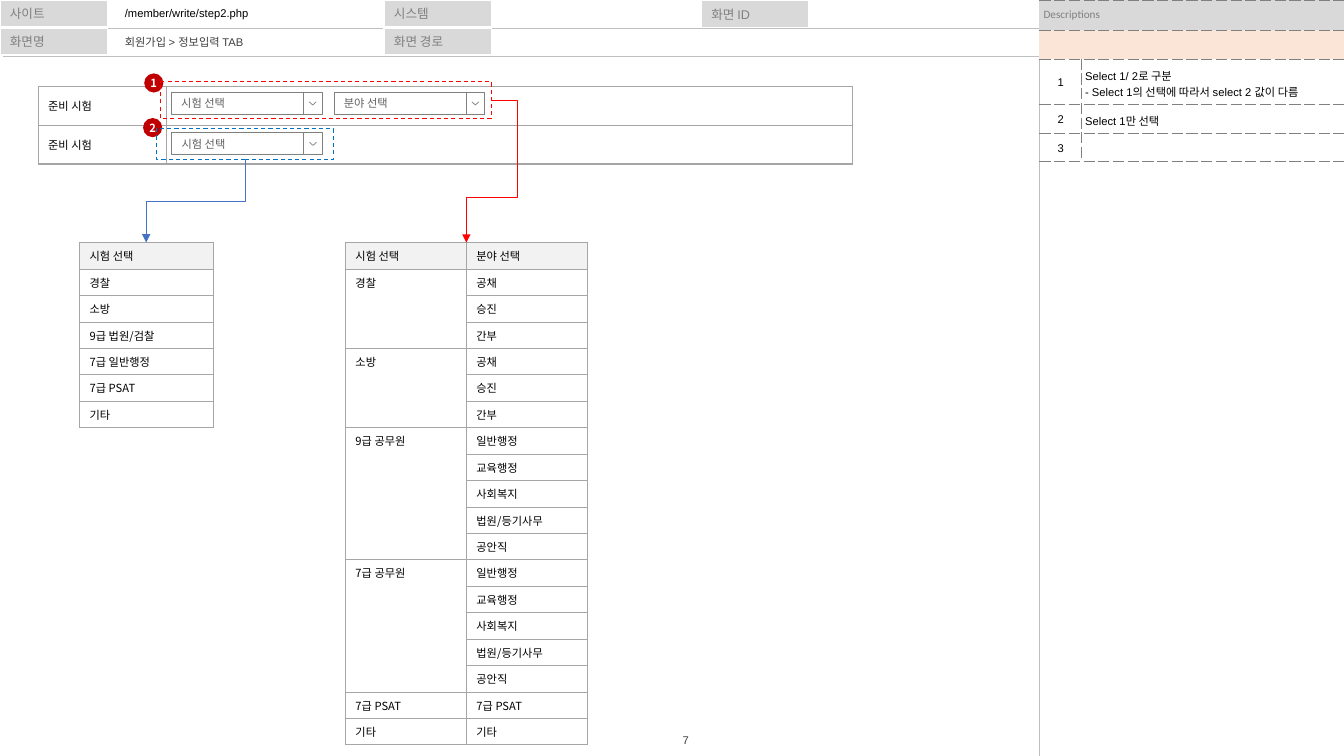
from dataclasses import dataclass

from lxml import etree
from pptx import Presentation
from pptx.dml.color import RGBColor
from pptx.enum import dml, shapes, text
from pptx.oxml.ns import qn
from pptx.util import Pt

GREY, BORDER, KOREAN = "808080", "A6A6A6", "Noto Sans CJK KR"
NO_STYLE = "{2D5ABB26-0587-4C30-8999-92F81FD0307C}"
MIDDLE, TOP = text.MSO_ANCHOR.MIDDLE, text.MSO_ANCHOR.TOP
LEFT, CENTER = text.PP_ALIGN.LEFT, text.PP_ALIGN.CENTER
DEFAULT_INSETS = (7.2, 3.6, 7.2, 3.6)


@dataclass
class Style:
    font: str = KOREAN
    color: str = "000000"
    size: float = 8
    bold: bool = False
    align: text.PP_ALIGN = LEFT
    anchor: text.MSO_ANCHOR = MIDDLE
    insets: tuple[float, ...] = DEFAULT_INSETS


@dataclass
class Area:
    left: float
    top: float
    width: float
    height: float


@dataclass
class Edge:
    color: str
    width: float
    dash: str = "solid"


deck = Presentation()
deck.slide_width, deck.slide_height = Pt(960), Pt(540)
page = deck.slides.add_slide(deck.slide_layouts[6])


def rgb(color: str) -> RGBColor:
    return RGBColor.from_string(color)


def write(frame, content: str, style: Style) -> None:
    for index, line in enumerate(content.split("\n")):
        para = frame.add_paragraph() if index else frame.paragraphs[0]
        para.text = line
        para.alignment = style.align
        para.font.name, para.font.size = style.font, Pt(style.size)
        para.font.bold, para.font.color.rgb = style.bold, rgb(style.color)
        if not line:
            etree.SubElement(para._p, qn("a:endParaRPr"), sz="800")


def set_margins(holder, insets: tuple[float, ...]) -> None:
    sides = ("margin_left", "margin_top", "margin_right", "margin_bottom")
    for side, inset in zip(sides, insets):
        setattr(holder, side, Pt(inset))


def frame_text(box, content: str, style: Style, wrap: bool = True) -> None:
    frame = box.text_frame
    frame.word_wrap, frame.vertical_anchor = wrap, style.anchor
    set_margins(frame, style.insets)
    write(frame, content, style)


def add_text(area: Area, content: str, style: Style, wrap: bool = True) -> None:
    box = page.shapes.add_textbox(Pt(area.left), Pt(area.top), Pt(area.width), Pt(area.height))
    frame_text(box, content, style, wrap)


def paint(box, fill: str | None, line: str | None, width: float, dashed: bool = False) -> None:
    box.shadow.inherit = False
    if fill:
        box.fill.solid()
        box.fill.fore_color.rgb = rgb(fill)
    else:
        box.fill.background()
    if line:
        box.line.color.rgb, box.line.width = rgb(line), Pt(width)
        if dashed:
            box.line.dash_style = dml.MSO_LINE.DASH
    else:
        box.line.fill.background()


def add_box(area: Area, fill: str | None, line: str | None, width: float = 0.5,
            dashed: bool = False, kind=shapes.MSO_SHAPE.RECTANGLE):
    box = page.shapes.add_shape(kind, Pt(area.left), Pt(area.top), Pt(area.width), Pt(area.height))
    paint(box, fill, line, width, dashed)
    return box


def add_line(x1: float, y1: float, x2: float, y2: float, color: str, width: float,
             kind=shapes.MSO_CONNECTOR.STRAIGHT):
    line = page.shapes.add_connector(kind, Pt(x1), Pt(y1), Pt(x2), Pt(y2))
    line.line.color.rgb, line.line.width = rgb(color), Pt(width)
    etree.SubElement(line._element.spPr, qn("a:effectLst"))
    return line


def add_elbow(x1: float, y1: float, x2: float, y2: float, color: str):
    arrow = add_line(x1, y1, x2, y2, color, 0.5, shapes.MSO_CONNECTOR.ELBOW)
    etree.SubElement(arrow.line._get_or_add_ln(), qn("a:tailEnd"), type="triangle")
    return arrow._element.spPr


def add_grid(area: Area, columns: list[float], rows: list[float]):
    holder = page.shapes.add_table(len(rows), len(columns), Pt(area.left), Pt(area.top),
                                   Pt(area.width), Pt(area.height))
    grid = holder.table
    grid.first_row = grid.horz_banding = False
    grid._tbl.tblPr.find(qn("a:tableStyleId")).text = NO_STYLE
    for column, width in zip(grid.columns, columns):
        column.width = Pt(width)
    for row, height in zip(grid.rows, rows):
        row.height = Pt(height)
    return grid


def fill_cell(cell, content: str, style: Style, fill: str | None, edge: Edge, sides: str) -> None:
    cell.vertical_anchor = style.anchor
    set_margins(cell, style.insets)
    write(cell.text_frame, content, style)
    props = cell._tc.get_or_add_tcPr()
    for side in sides:
        border = etree.SubElement(props, qn(f"a:ln{side}"), w=str(Pt(edge.width)))
        solid = etree.SubElement(border, qn("a:solidFill"))
        etree.SubElement(solid, qn("a:srgbClr"), val=edge.color)
        etree.SubElement(border, qn("a:prstDash"), val=edge.dash)
    if fill:
        cell.fill.solid()
        cell.fill.fore_color.rgb = rgb(fill)
    else:
        cell.fill.background()


def add_options(left: float, width: float, records: list[tuple[str, ...]]) -> None:
    count, row_height = len(records[0]), 18.9
    grid = add_grid(Area(left, 173.3, width * count, row_height * len(records)),
                    [width] * count, [row_height] * len(records))
    for r, record in enumerate(records):
        for c, label in enumerate(record):
            fill_cell(grid.cell(r, c), label, Style(anchor=TOP),
                      None if r else "F2F2F2", Edge(BORDER, 0.5), "LRTB")
    starts = [r for r, record in enumerate(records) if record[0]] + [len(records)]
    for start, end in zip(starts, starts[1:]):
        if end - start > 1:
            grid.cell(start, 0).merge(grid.cell(end - 1, 0))


def add_dropdown(left: float, top: float, label: str) -> None:
    box = add_box(Area(left, top, 94.4, 15.8), "FFFFFF", GREY)
    frame_text(box, label, Style("Lato", "5F5F5F", insets=(7.2, 4.3, 7.2, 4.3)))
    add_box(Area(left + 94.4, top, 13.2, 15.8), "FFFFFF", GREY)
    x, y = left + 98.5, top + 6.9
    pen = page.shapes.build_freeform(Pt(x + 5), Pt(y))
    pen.add_line_segments([(Pt(x + 2.5), Pt(y + 2.3)), (Pt(x), Pt(y))], close=False)
    paint(pen.convert_to_shape(), "FFFFFF", GREY, 0.5)


def add_badge(left: float, top: float, number: str) -> None:
    badge = add_box(Area(left, top, 13.7, 13.7), "C00000", None, kind=shapes.MSO_SHAPE.OVAL)
    frame_text(badge, number, Style(color="FFFFFF", bold=True, align=CENTER, insets=(0, 0, 0, 0)))


def add_header() -> None:
    for x1, y1, x2, y2 in [(0, 20.2, 960, 20.2), (2.2, 40.3, 960, 40.3), (742.5, 540, 742.5, 40.3)]:
        add_line(x1, y1, x2, y2, "BFBFBF", 0.75)
    for left, top, label in [(0, 0, "사이트"), (274.3, 20, "화면 경로"), (0, 20, "화면명"),
                             (274.3, 0, "시스템"), (501, 0.4, "화면 ID")]:
        box = add_box(Area(left, top, 77, 19.4), "D9D9D9", "FFFFFF", 1)
        frame_text(box, label, Style("Arial", GREY, 9))
    add_text(Area(82.1, 20.6, 150, 18.7), "회원가입 > 정보입력 TAB", Style("Arial", "404040"))
    add_text(Area(82.1, 1.2, 191.5, 20.9), "/member/write/step2.php", Style("Arial", anchor=TOP))


def add_descriptions() -> None:
    rows = [21.2, 20.9, 32.3, 20.5, 20.2]
    grid = add_grid(Area(742.5, 0, 217.5, sum(rows)), [29.7, 187.8], rows)
    edge = Edge(GREY, 0.25, "sysDash")
    heading = Style("Calibri", GREY, insets=(2.9, 2.9, 0, 2.9))
    number = Style("Arial", align=CENTER, insets=(0.7, 2.9, 0, 0.7))
    note = Style("Arial", anchor=TOP, insets=(2.9, 5.8, 5.8, 2.9))
    for r, (title, fill) in enumerate([("Descriptions", "DAD9DA"), ("", "FBE5D6")]):
        fill_cell(grid.cell(r, 0), title, heading, fill, edge, "TB")
        fill_cell(grid.cell(r, 1), "", heading, fill, edge, "TB")
        grid.cell(r, 0).merge(grid.cell(r, 1))
    notes = ["Select 1/ 2로 구분\n- Select 1의 선택에 따라서 select 2 값이 다름", "Select 1만 선택", ""]
    for index, content in enumerate(notes, 1):
        fill_cell(grid.cell(index + 1, 0), str(index), number, None, edge, "RTB")
        fill_cell(grid.cell(index + 1, 1), content, note, None, edge, "LTB")


def add_form() -> None:
    grid = add_grid(Area(27.2, 61.7, 581.8, 55.4), [91.5, 490.3], [27.7, 27.7])
    for r in range(2):
        for c, label in enumerate(["준비 시험", ""]):
            fill_cell(grid.cell(r, c), label, Style(), None, Edge(BORDER, 1), "LRTB")
    for left, top, label in [(122.4, 65.8, "시험 선택"), (238.6, 65.8, "분야 선택"), (122.6, 94.7, "시험 선택")]:
        add_dropdown(left, top, label)
    add_badge(103, 52.4, "1")
    add_badge(102.2, 84.3, "2")


def add_callouts() -> None:
    add_box(Area(114.6, 58.4, 236.8, 26.1), None, "FF0000", 0.75, True)
    add_box(Area(111.7, 92, 126.6, 21.8), None, "0070C0", 0.75, True)
    blue = add_elbow(110, 108.2, 169.4, 178.8, "4472C4")
    blue.find(qn("a:xfrm")).set("rot", "5400000")
    red = add_elbow(351.4, 71.4, 333.2, 173.3, "FF0000")
    geometry = red.find(qn("a:prstGeom"))
    geometry.set("prst", "bentConnector4")
    adjustments = geometry.find(qn("a:avLst"))
    for name, value in [("adj1", -98200), ("adj2", 68600)]:
        etree.SubElement(adjustments, qn("a:gd"), name=name, fmla=f"val {value}")


def main() -> None:
    add_header()
    add_descriptions()
    add_form()
    exams = ["시험 선택", "경찰", "소방", "9급 법원/검찰", "7급 일반행정", "7급 PSAT", "기타"]
    add_options(56.8, 95.4, [(exam,) for exam in exams])
    ranks = ["공채", "승진", "간부"]
    posts = ["일반행정", "교육행정", "사회복지", "법원/등기사무", "공안직"]
    fields = {"시험 선택": ["분야 선택"], "경찰": ranks, "소방": ranks, "9급 공무원": posts,
              "7급 공무원": posts, "7급 PSAT": ["7급 PSAT"], "기타": ["기타"]}
    add_options(246.7, 86.4, [("" if index else exam, field) for exam, group in fields.items()
                              for index, field in enumerate(group)])
    add_callouts()
    add_text(Area(478.4, 520.3, 23, 17), "7", Style("Arial", "404040", align=CENTER), False)
    deck.save("out.pptx")


if __name__ == "__main__":
    main()
